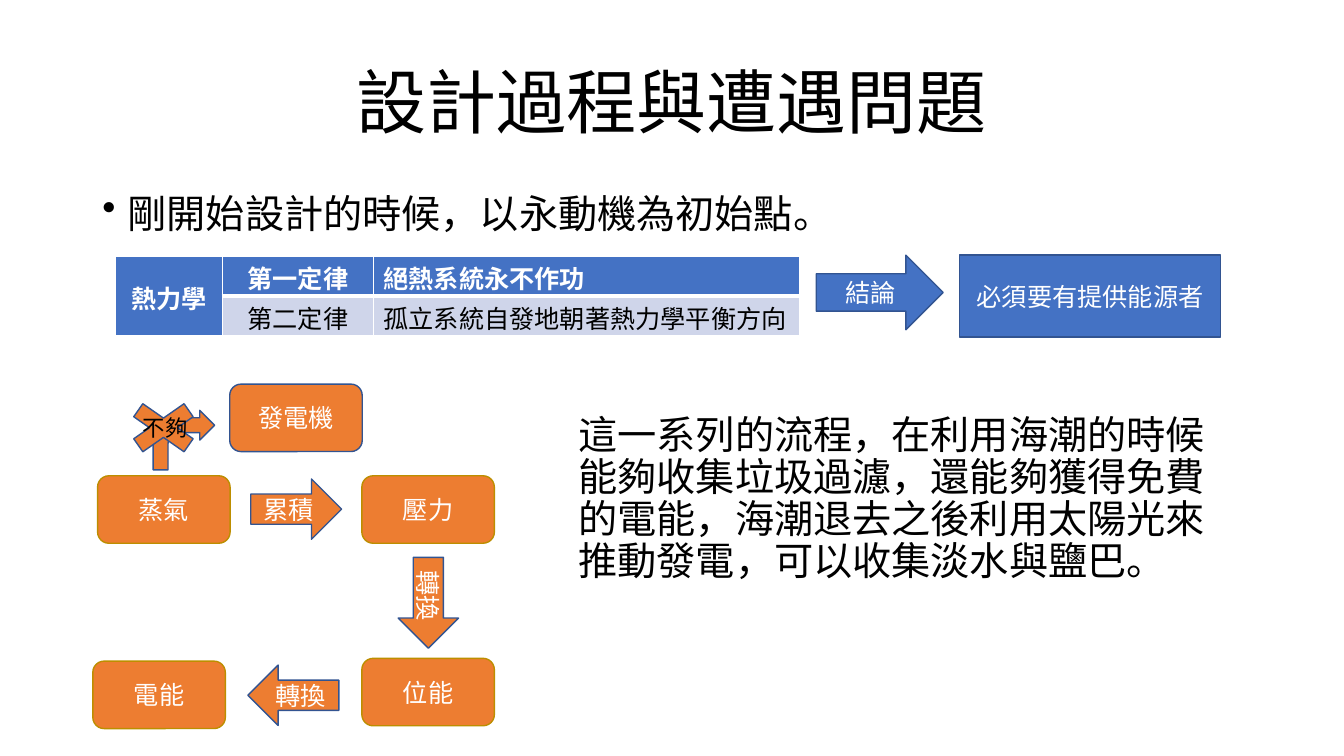
from dataclasses import dataclass

import lxml.etree
import pptx
import pptx.dml.color
import pptx.enum.shapes
import pptx.enum.text
import pptx.oxml.ns
import pptx.util

Cm, Pt = pptx.util.Cm, pptx.util.Pt
qn = pptx.oxml.ns.qn
KIND = pptx.enum.shapes.MSO_SHAPE
ALIGN = pptx.enum.text.PP_ALIGN
MIDDLE = pptx.enum.text.MSO_ANCHOR.MIDDLE

CJK_FONT = "Noto Sans CJK SC"
ORANGE, BLUE, PALE_BLUE = "ED7D31", "4472C4", "CFD5EA"
NAVY, GOLD, WHITE, BLACK = "325491", "BD8E00", "FFFFFF", "000000"


def color(code: str) -> pptx.dml.color.RGBColor:
    return pptx.dml.color.RGBColor.from_string(code)


def write(frame, text: str, size: float, ink: str, align=ALIGN.LEFT,
          font: str = CJK_FONT, bold: bool = False, spacing=None):
    """Fill a text frame with one styled paragraph and return it."""
    frame.word_wrap = True
    para = frame.paragraphs[0]
    para.text = text
    para.alignment = align
    para.line_spacing = spacing
    para.font.size = Pt(size)
    para.font.bold = bold
    para.font.color.rgb = color(ink)
    para.font.name = font
    defaults = para._p.pPr.find(qn("a:defRPr"))
    lxml.etree.SubElement(defaults, qn("a:ea"), typeface=font)
    return para


def add_text(shapes, left: float, top: float, width: float, height: float,
             text: str, size: float, anchor=None, **style):
    box = shapes.add_textbox(Cm(left), Cm(top), Cm(width), Cm(height))
    box.text_frame.vertical_anchor = anchor
    return write(box.text_frame, text, size, BLACK, **style)


@dataclass
class Block:
    kind: int
    left: float
    top: float
    width: float
    height: float
    text: str = ""
    fill: str = ORANGE
    line: str = NAVY
    rotation: float = 0


def draw(shapes, block: Block) -> None:
    shape = shapes.add_shape(block.kind, Cm(block.left), Cm(block.top),
                             Cm(block.width), Cm(block.height))
    shape.rotation = block.rotation
    shape.shadow.inherit = False
    shape.fill.solid()
    shape.fill.fore_color.rgb = color(block.fill)
    shape.line.color.rgb = color(block.line)
    shape.line.width = Pt(1)
    if block.text:
        shape.text_frame.vertical_anchor = MIDDLE
        write(shape.text_frame, block.text, 18, WHITE, ALIGN.CENTER)


def stage(left: float, top: float, text: str, line: str = GOLD) -> Block:
    return Block(KIND.ROUNDED_RECTANGLE, left, top, 3.34, 1.7, text, line=line)


def step(kind: int, left: float, top: float, text: str, rotation: float = 0) -> Block:
    return Block(kind, left, top, 2.29, 1.52, text, rotation=rotation)


def style_cell(cell, text: str, align, header: bool, rule: float) -> None:
    properties = cell._tc.get_or_add_tcPr()
    for side, width in (("L", 1), ("R", 1), ("T", 1), ("B", rule)):
        border = lxml.etree.SubElement(properties, qn(f"a:ln{side}"), w=str(Pt(width)))
        paint = lxml.etree.SubElement(border, qn("a:solidFill"))
        lxml.etree.SubElement(paint, qn("a:srgbClr"), val=WHITE)
    cell.fill.solid()
    cell.fill.fore_color.rgb = color(BLUE if header else PALE_BLUE)
    cell.vertical_anchor = MIDDLE
    cell.margin_top, cell.margin_bottom = Cm(0.2), Cm(0)
    write(cell.text_frame, text, 18, WHITE if header else BLACK, align,
          "Calibri", header, Pt(22))


deck = pptx.Presentation()
deck.slide_width, deck.slide_height = Cm(33.87), Cm(19.05)
page = deck.slides.add_slide(deck.slide_layouts[6])

# Title, opening bullet and summary
add_text(page.shapes, 2.33, 1.01, 29.21, 3.33, "設計過程與遭遇問題", 50, MIDDLE,
         align=ALIGN.CENTER, spacing=0.9)
opening = add_text(page.shapes, 2.33, 4.77, 29.21, 1.4,
                   "剛開始設計的時候，以永動機為初始點。", 28, spacing=Pt(30))
indents = opening._p.pPr
indents.set("marL", str(Cm(0.64)))
indents.set("indent", str(Cm(-0.64)))
bullet = lxml.etree.Element(qn("a:buChar"), char="•")
indents.find(qn("a:defRPr")).addprevious(bullet)
add_text(page.shapes, 14.33, 10.34, 17.21, 4.6,
         "這一系列的流程，在利用海潮的時候能夠收集垃圾過濾，還能夠獲得免費的電能，"
         "海潮退去之後利用太陽光來推動發電，可以收集淡水與鹽巴。", 28, spacing=Pt(30))

# Energy flow
FLOW = [
    stage(5.79, 9.68, "發電機", NAVY),
    stage(2.46, 11.99, "蒸氣"),
    step(KIND.RIGHT_ARROW, 6.32, 12.07, "累積"),
    stage(9.12, 11.99, "壓力"),
    stage(9.12, 16.59, "位能"),
    stage(2.34, 16.66, "電能"),
    step(KIND.LEFT_ARROW, 6.25, 16.76, "轉換"),
    step(KIND.RIGHT_ARROW, 9.65, 14.43, "轉換", 90),
    Block(KIND.BENT_ARROW, 3.86, 10.34, 1.55, 1.5),
    Block(KIND.MATH_MULTIPLY, 2.9, 9.93, 2.44, 1.7),
]
flow = page.shapes.add_group_shape()
for block in FLOW:
    draw(flow.shapes, block)
add_text(flow.shapes, 3.35, 10.31, 1.9, 0.94, "不夠", 16, MIDDLE)

# Laws of thermodynamics
LAWS = [("第一定律", "絕熱系統永不作功"),
        ("第二定律", "孤立系統自發地朝著熱力學平衡方向")]
WIDTHS = (2.69, 3.81, 10.74)
table = page.shapes.add_table(len(LAWS), len(WIDTHS), Cm(2.91), Cm(6.46),
                              Cm(sum(WIDTHS)), Cm(2)).table
for column, width in zip(table.columns, WIDTHS):
    column.width = Cm(width)
table.cell(0, 0).merge(table.cell(1, 0))
style_cell(table.cell(0, 0), "熱力學", ALIGN.CENTER, True, 1)
for row, (law, meaning) in enumerate(LAWS):
    header = row == 0
    rule = 3 if header else 1
    style_cell(table.cell(row, 1), law, ALIGN.CENTER, header, rule)
    style_cell(table.cell(row, 2), meaning, ALIGN.LEFT, header, rule)

# Conclusion
draw(page.shapes, Block(KIND.RIGHT_ARROW, 20.57, 6.43, 3.2, 1.88, "結論", BLUE))
draw(page.shapes, Block(KIND.RECTANGLE, 24.18, 6.43, 6.58, 2.06, "必須要有提供能源者", BLUE))

deck.save("out.pptx")
